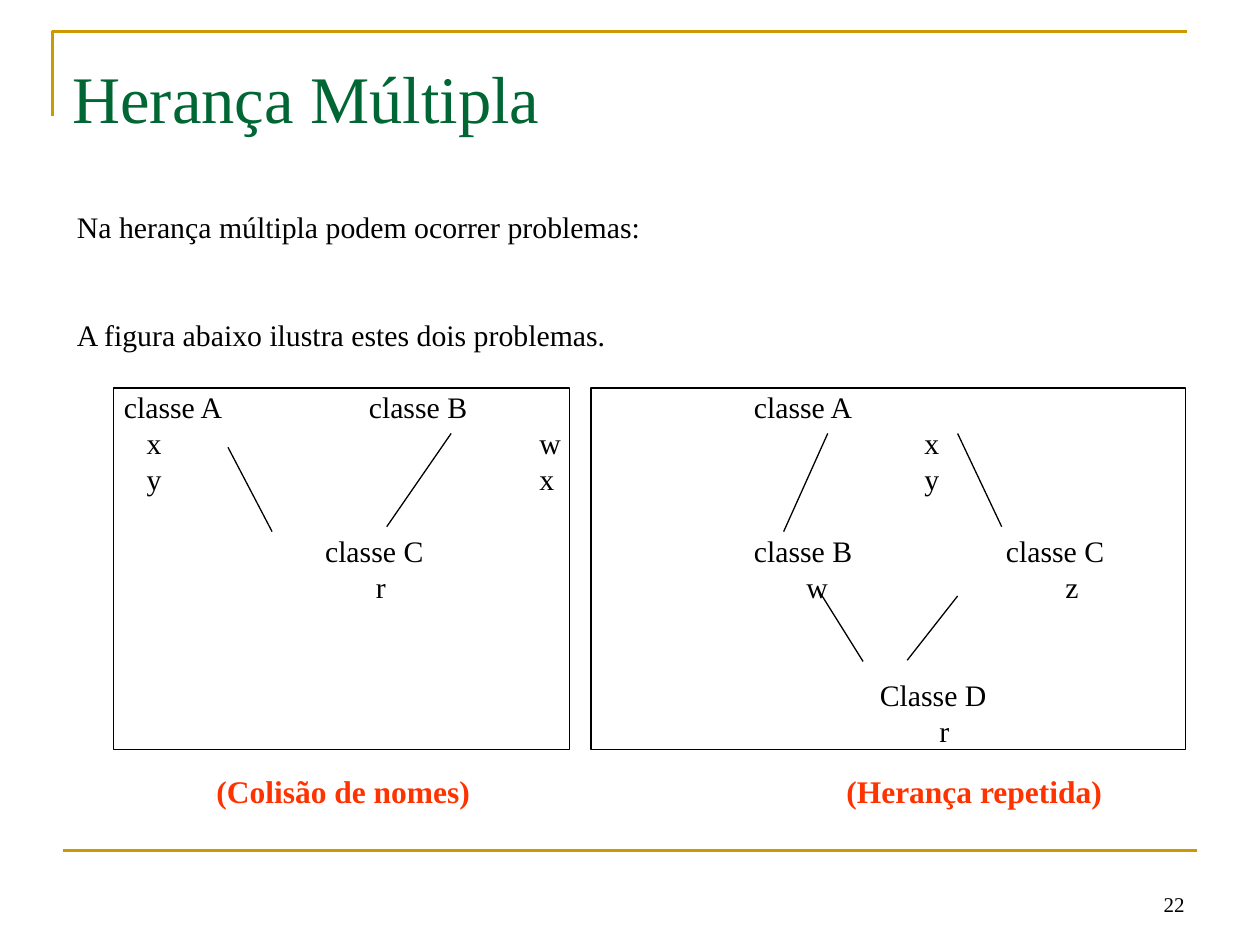
import dataclasses
import typing

import lxml.etree
import pptx
import pptx.dml.color
import pptx.enum.shapes
import pptx.enum.text
import pptx.oxml.ns
import pptx.util

Pt = pptx.util.Pt
Align = pptx.enum.text.PP_ALIGN
Anchor = pptx.enum.text.MSO_ANCHOR
qn = pptx.oxml.ns.qn

COLORS = {"gold": "CC9900", "green": "006633", "ink": "000000", "red": "FF3300"}
FACE = "Times New Roman"
PITCH = 20.57
TOP = 119


@dataclasses.dataclass
class Row:
    words: list[str]
    tabs: list[float] = dataclasses.field(default_factory=list)
    skip: int = 0


@dataclasses.dataclass
class Line:
    x1: float
    y1: float
    x2: float
    y2: float
    color: str = "ink"
    width: float = 0.75


@dataclasses.dataclass
class Box:
    left: float
    top: float
    width: float
    height: float


INTRO = [
    Row(["Na herança múltipla podem ocorrer problemas:"]),
    Row(["A figura abaixo ilustra estes dois problemas."], skip=2),
]
NODES = [
    Row(["classe A", "classe B", "classe A"], [27, 167, 387]),
    Row(["x", "w", "x"], [40, 264.5, 484.5]),
    Row(["y", "x", "y"], [40, 264.5, 484.5]),
    Row(["classe C", "classe B", "classe C"], [142, 387, 531], 1),
    Row(["r", "w", "z"], [171, 417, 565]),
    Row(["Classe D"], [459], 2),
    Row(["r"], [493]),
]
FRAMES = [Box(337.7, 221.8, 339.8, 206.6), Box(64.8, 221.8, 260.6, 206.6)]
LINKS = [
    Line(130.3, 255.6, 155.5, 303.8),
    Line(257.8, 247.7, 221, 301),
    Line(473, 247.7, 447.8, 303.8),
    Line(547.2, 247.7, 572.4, 301),
    Line(468, 337.7, 493.2, 378),
    Line(547.2, 340.6, 518.4, 377.3),
]


def tint(name: str) -> pptx.dml.color.RGBColor:
    return pptx.dml.color.RGBColor.from_string(COLORS[name])


def pen(line: typing.Any, color: str, width: float) -> None:
    line.color.rgb = tint(color)
    line.width = Pt(width)


def style(para: typing.Any, size: float, color: str, bold: bool = False) -> None:
    font = para.font
    font.name = FACE
    font.size = Pt(size)
    font.bold = bold
    font.color.rgb = tint(color)


def add_tabs(para: typing.Any, stops: list[float]) -> None:
    props = para._p.get_or_add_pPr()
    tabs = lxml.etree.SubElement(props, qn("a:tabLst"))
    for stop in stops:
        lxml.etree.SubElement(tabs, qn("a:tab"), pos=str(Pt(stop)), algn="l")


def place(shape: typing.Any, box: Box) -> None:
    shape.left, shape.top = Pt(box.left), Pt(box.top)
    shape.width, shape.height = Pt(box.width), Pt(box.height)


def add_line(slide: typing.Any, link: Line) -> None:
    kind = pptx.enum.shapes.MSO_CONNECTOR.STRAIGHT
    shape = slide.shapes.add_connector(
        kind, Pt(link.x1), Pt(link.y1), Pt(link.x2), Pt(link.y2)
    )
    pen(shape.line, link.color, link.width)
    lxml.etree.SubElement(shape._element.spPr, qn("a:effectLst"))


def add_frame(slide: typing.Any, box: Box) -> None:
    kind = pptx.enum.shapes.MSO_SHAPE.RECTANGLE
    shape = slide.shapes.add_shape(kind, 0, 0, 0, 0)
    place(shape, box)
    shape.shadow.inherit = False
    shape.fill.background()
    pen(shape.line, "ink", 0.75)


def add_rules(slide: typing.Any) -> None:
    rule = slide.shapes.build_freeform(Pt(30.2), Pt(66.2))
    rule.add_line_segments([(Pt(30.2), Pt(18)), (Pt(678.2), Pt(18))], close=False)
    shape = rule.convert_to_shape()
    shape.shadow.inherit = False
    shape.fill.background()
    pen(shape.line, "gold", 1.5)
    add_line(slide, Line(36, 486, 684, 486, "gold", 1.5))


def fill_title(shape: typing.Any) -> None:
    place(shape, Box(34.2, 26, 289.4, 59))
    frame = shape.text_frame
    frame.auto_size = pptx.enum.text.MSO_AUTO_SIZE.NONE
    frame.vertical_anchor = Anchor.MIDDLE
    frame.text = "Herança Múltipla"
    para = frame.paragraphs[0]
    para.alignment = Align.LEFT
    style(para, 38, "green")


def fill_rows(shape: typing.Any, box: Box, rows: list[Row]) -> None:
    place(shape, box)
    frame = shape.text_frame
    frame.auto_size = pptx.enum.text.MSO_AUTO_SIZE.NONE
    frame.vertical_anchor = Anchor.TOP
    frame.word_wrap = True
    frame.margin_top = 0
    for count, row in enumerate(rows):
        para = frame.add_paragraph() if count else frame.paragraphs[0]
        lead = "\t" if row.tabs else ""
        para.text = lead + "\t".join(row.words)
        para.line_spacing = Pt(PITCH)
        para.space_before = Pt(round(row.skip * PITCH, 2))
        if row.tabs:
            add_tabs(para, row.tabs)
        else:
            props = para._p.get_or_add_pPr()
            props.set("marL", "0")
            props.set("indent", "0")
            lxml.etree.SubElement(props, qn("a:buNone"))
        style(para, 17, "ink")


def add_page(slide: typing.Any) -> None:
    shape = slide.shapes.add_textbox(Pt(516.2), Pt(491.3), Pt(167.8), Pt(36))
    frame = shape.text_frame
    frame.word_wrap = True
    frame.vertical_anchor = Anchor.BOTTOM
    frame.text = "22"
    para = frame.paragraphs[0]
    para.alignment = Align.RIGHT
    style(para, 12, "ink")


def add_labels(slide: typing.Any) -> None:
    shape = slide.shapes.add_textbox(Pt(116.6), Pt(437.5), Pt(520.6), Pt(28.8))
    frame = shape.text_frame
    frame.word_wrap = False
    frame.text = "(Colisão de nomes)\t(Herança repetida)"
    para = frame.paragraphs[0]
    add_tabs(para, [360])
    style(para, 18, "red", True)


def main() -> None:
    deck = pptx.Presentation()
    deck.slide_width, deck.slide_height = Pt(720), Pt(540)
    slide = deck.slides.add_slide(deck.slide_layouts[1])
    fill_title(slide.shapes.title)
    fill_rows(slide.placeholders[1], Box(36.7, TOP, 645.1, 90), INTRO)
    add_rules(slide)
    add_page(slide)
    nodes = slide.shapes.add_textbox(0, 0, 0, 0)
    fill_rows(nodes, Box(36.7, round(TOP + 5 * PITCH, 2), 645.1, 210), NODES)
    for box in FRAMES:
        add_frame(slide, box)
    for link in LINKS:
        add_line(slide, link)
    add_labels(slide)
    deck.save("out.pptx")


if __name__ == "__main__":
    main()
